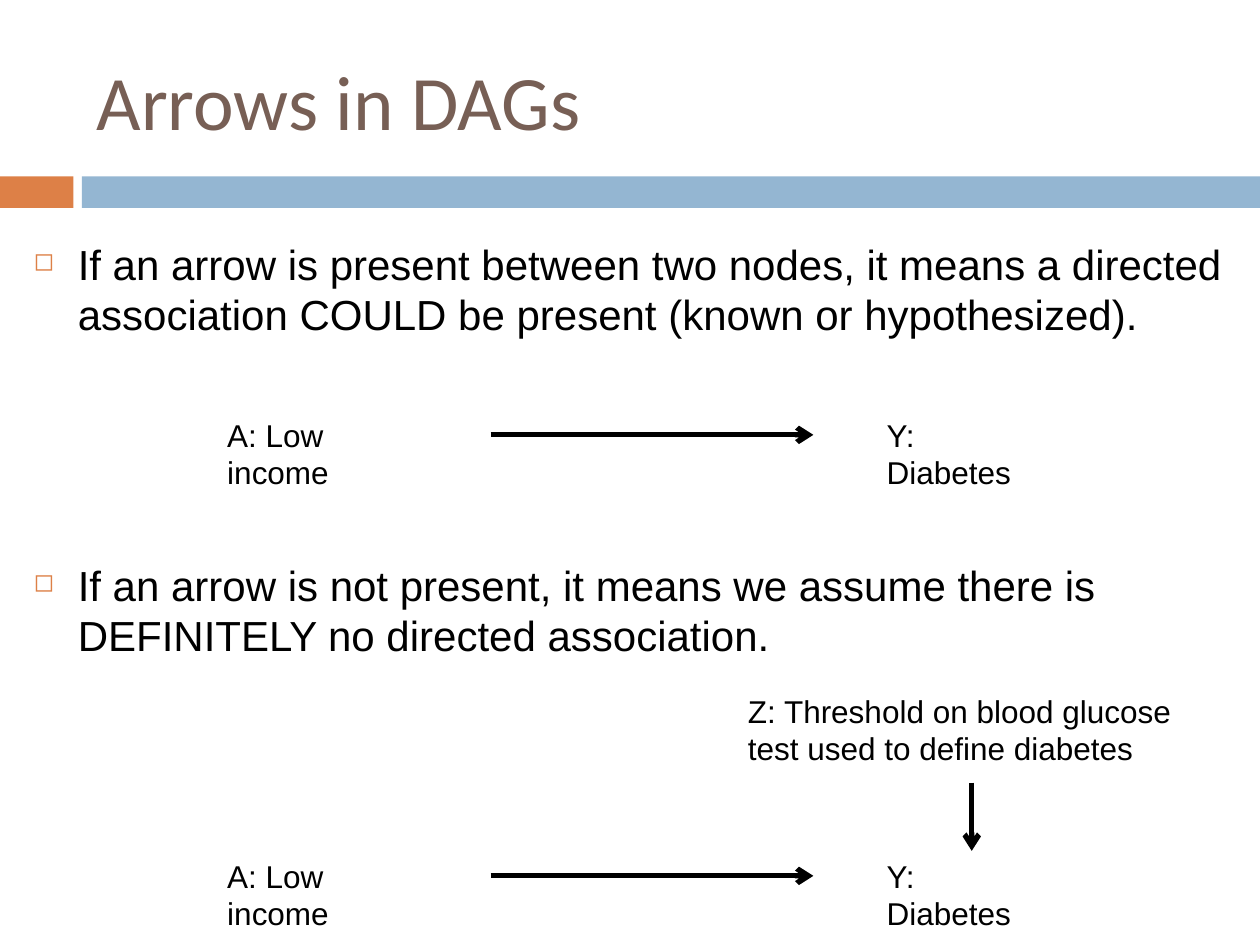
from lxml import etree
from pptx import Presentation
from pptx.dml.color import RGBColor
from pptx.enum.shapes import MSO_CONNECTOR, MSO_SHAPE
from pptx.enum.text import MSO_ANCHOR
from pptx.oxml.ns import qn
from pptx.util import Pt

RECTANGLE = MSO_SHAPE.RECTANGLE
STRAIGHT = MSO_CONNECTOR.STRAIGHT
TOP, MIDDLE = MSO_ANCHOR.TOP, MSO_ANCHOR.MIDDLE

COLORS = {
    "title": "775F55",
    "accent": "DD8047",
    "band": "94B6D2",
    "ink": "000000",
}
STATEMENTS = [
    "If an arrow is present between two nodes, it means a directed "
    "association COULD be present (known or hypothesized).",
    "If an arrow is not present, it means we assume there is "
    "DEFINITELY no directed association.",
]
DIAGRAM_GAP = 126
INDENT = 25.2


def color(name):
    return RGBColor.from_string(COLORS[name])


def style(paragraph, size, font_name="Arial", color_name="ink"):
    paragraph.font.size = Pt(size)
    paragraph.font.name = font_name
    paragraph.font.color.rgb = color(color_name)


def add_text_frame(slide, left, top, width, height, anchor=TOP):
    box = slide.shapes.add_textbox(Pt(left), Pt(top), Pt(width), Pt(height))
    frame = box.text_frame
    frame.word_wrap = True
    frame.vertical_anchor = anchor
    return frame


def add_label(slide, text, left, top, width, height):
    paragraph = add_text_frame(slide, left, top, width, height).paragraphs[0]
    paragraph.text = text
    style(paragraph, 18)


def add_arrow(slide, start_x, start_y, end_x, end_y):
    arrow = slide.shapes.add_connector(
        STRAIGHT, Pt(start_x), Pt(start_y), Pt(end_x), Pt(end_y))
    arrow.line.color.rgb = color("ink")
    arrow.line.width = Pt(3)
    etree.SubElement(arrow.line._get_or_add_ln(), qn("a:tailEnd"), type="arrow")
    etree.SubElement(arrow._element.spPr, qn("a:effectLst"))


def add_bullet(paragraph):
    properties = paragraph._p.get_or_add_pPr()
    properties.set("marL", str(Pt(INDENT)))
    properties.set("indent", str(-Pt(INDENT)))
    bullet_color = etree.SubElement(properties, qn("a:buClr"))
    etree.SubElement(bullet_color, qn("a:srgbClr"), val=COLORS["accent"])
    etree.SubElement(properties, qn("a:buSzPct"), val="60000")
    etree.SubElement(properties, qn("a:buChar"), char="◻")


def add_title(slide, left, top, width, height):
    frame = add_text_frame(slide, left, top, width, height, MIDDLE)
    paragraph = frame.paragraphs[0]
    paragraph.text = "Arrows in DAGs"
    style(paragraph, 44, "Calibri", "title")


def add_divider(slide, left, top, width, height):
    """Draw a short accent block and a long band, with a gap between them."""
    block_width, band_offset = 42, 46.8
    for x, part_width, color_name in (
        (left, block_width, "accent"),
        (left + band_offset, width - band_offset, "band"),
    ):
        shape = slide.shapes.add_shape(
            RECTANGLE, Pt(x), Pt(top), Pt(part_width), Pt(height))
        shape.shadow.inherit = False
        shape.fill.solid()
        shape.fill.fore_color.rgb = color(color_name)
        shape.line.fill.background()


def add_statements(slide, left, top, width, height):
    """List the statements, leaving room for a diagram between them."""
    frame = add_text_frame(slide, left, top, width, height)
    for index, text in enumerate(STATEMENTS):
        paragraph = frame.add_paragraph() if index else frame.paragraphs[0]
        paragraph.text = text
        if index:
            paragraph.space_before = Pt(DIAGRAM_GAP)
        add_bullet(paragraph)
        style(paragraph, 24)


def add_cause_diagram(slide, left, top):
    """Draw the exposure, an arrow and the outcome in a row."""
    add_label(slide, "A: Low income", left, top, 108, 50)
    add_label(slide, "Y: Diabetes", left + 376.8, top, 90, 50)
    add_arrow(slide, left + 157.5, top + 14.5, left + 342, top + 14.5)


def add_threshold(slide, left, top, width, height):
    """Draw the threshold label with an arrow down to the outcome."""
    add_label(slide, "Z: Threshold on blood glucose test used to define diabetes",
              left, top, width, height)
    middle = left + width / 2
    add_arrow(slide, middle, top + height + 4.5, middle, top + height + 43.5)


def main():
    presentation = Presentation()
    presentation.slide_width = Pt(720)
    presentation.slide_height = Pt(540)
    slide = presentation.slides.add_slide(presentation.slide_layouts[6])

    add_divider(slide, 0, 100.8, 720, 18)
    add_title(slide, 48.2, 18, 642, 78)
    add_statements(slide, 12.2, 132.5, 696, 392)
    for top in (234, 486):
        add_cause_diagram(slide, 122.8, top)
    add_threshold(slide, 420.3, 391.7, 270, 51)

    presentation.save("out.pptx")


if __name__ == "__main__":
    main()
